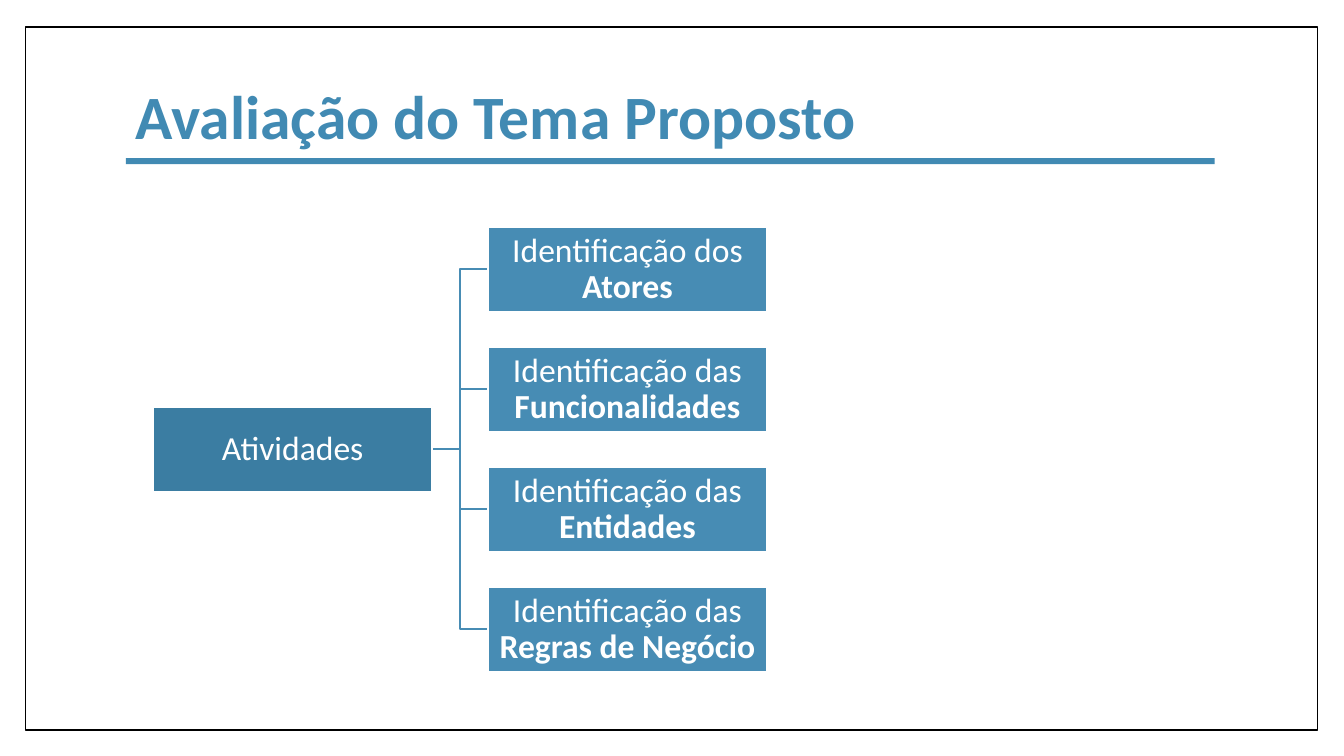
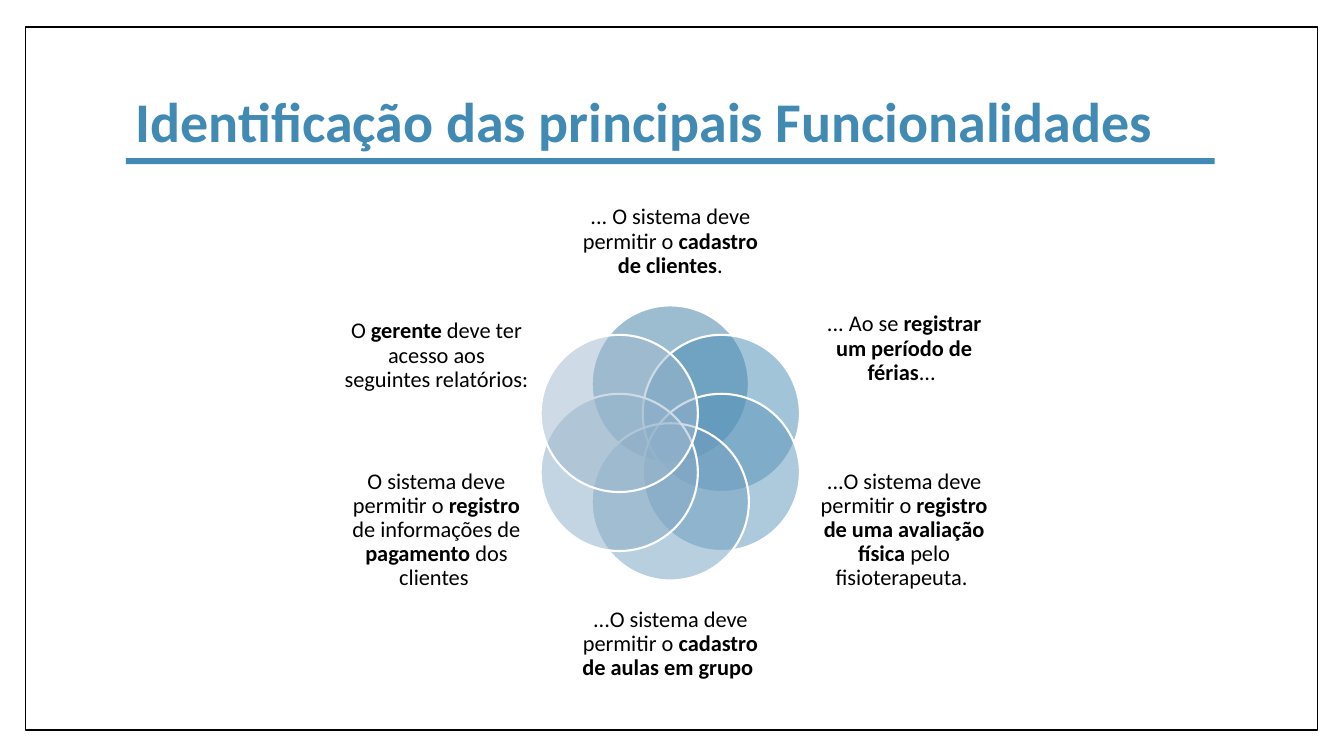
from math import cos, radians, sin
from lxml.etree import SubElement
from pptx import Presentation
from pptx.dml.color import RGBColor
from pptx.enum.shapes import MSO_CONNECTOR, MSO_SHAPE
from pptx.enum.text import MSO_ANCHOR, PP_ALIGN
from pptx.oxml.ns import qn
from pptx.util import Pt

WHITE = RGBColor(0xFF, 0xFF, 0xFF)
BLACK = RGBColor(0x00, 0x00, 0x00)
BLUE = RGBColor(0x41, 0x8A, 0xB3)
NAVY = RGBColor(0x3B, 0x7D, 0xA2)
STEEL = RGBColor(0x47, 0x8C, 0xB4)

ROOT = "Atividades"
TASKS = [
    "Identificação dos *Atores*",
    "Identificação das *Funcionalidades*",
    "Identificação das *Entidades*",
    "Identificação das *Regras de Negócio*",
]
PETALS = [
    ("... O sistema deve permitir o *cadastro de clientes*.",
     NAVY, (409, 134.6, 139.7, 76.3)),
    ("... Ao se *registrar um período de férias*... ",
     RGBColor(0x46, 0x8A, 0xB4), (579.6, 207.4, 132.5, 83.5)),
    ("...O sistema deve permitir o *registro de uma avaliação física *pelo fisioterapeuta. ",
     RGBColor(0x5C, 0x95, 0xBB), (579.6, 331.9, 132.5, 93.6)),
    ("...O sistema deve permitir o *cadastro de aulas em grupo *",
     RGBColor(0x73, 0xA0, 0xC0), (409, 421.9, 139.7, 76.3)),
    ("O sistema deve permitir o *registro* de informações de *pagamento* dos clientes ",
     RGBColor(0x89, 0xAC, 0xC7), (245.5, 331.9, 132.5, 93.6)),
    ("O *gerente* deve ter acesso aos seguintes relatórios: ",
     RGBColor(0x9E, 0xB8, 0xCE), (245.5, 207.4, 132.5, 93.6)),
]


def write(shape, text, size=24, color=WHITE, align=PP_ALIGN.CENTER, space=0.9, inset=(0, 0)):
    """Fill a shape with text, setting the parts between asterisks in bold."""
    frame = shape.text_frame
    frame.word_wrap = True
    frame.vertical_anchor = MSO_ANCHOR.MIDDLE
    frame.margin_left = frame.margin_right = Pt(inset[0])
    frame.margin_top = frame.margin_bottom = Pt(inset[1])
    para = frame.paragraphs[0]
    para.alignment, para.line_spacing = align, space
    for i, part in enumerate(text.split("*")):
        if part:
            run = para.add_run()
            run.text = part
            font = run.font
            font.name, font.size, font.bold = "Calibri", Pt(size), i % 2 == 1
            font.color.rgb = color


def draw(slide, box, fill, kind=MSO_SHAPE.RECTANGLE, line=None, width=1.5):
    """Add a flat shape, outlined if a line colour is given."""
    shape = slide.shapes.add_shape(kind, *map(Pt, box))
    shape.shadow.inherit = False
    shape.fill.solid()
    shape.fill.fore_color.rgb = fill
    if line is None:
        shape.line.fill.background()
    else:
        shape.line.color.rgb = line
        shape.line.width = Pt(width)
    return shape


def start(deck, title, size, space):
    """Add a slide with frame, title and rule, and return it with its frame."""
    slide = deck.slides.add_slide(deck.slide_layouts[6])
    frame = draw(slide, (18, 19.4, 923, 502), WHITE, line=BLACK, width=1)
    head = draw(slide, (90, 48.2, 777.6, 74.9), WHITE)
    write(head, f"*{title}*", size=size, color=BLUE, align=PP_ALIGN.LEFT,
          space=space, inset=(7.2, 3.6))
    draw(slide, (90, 113, 777.6, 4.3), BLUE)
    return slide, frame


def link(slide, frame, root, leaf):
    """Join two boxes with an elbow line that lies just above the frame."""
    line = slide.shapes.add_connector(MSO_CONNECTOR.ELBOW, 0, 0, 0, 0)
    line.begin_connect(root, 3)
    line.end_connect(leaf, 1)
    line.line.color.rgb = STEEL
    line.line.width = Pt(1.5)
    SubElement(line.element.spPr, qn("a:effectLst"))
    frame.element.addnext(line.element)


def tree(deck):
    """Build the slide with the tree of tasks."""
    slide, frame = start(deck, "Avaliação do Tema Proposto", 44, 0.9)
    wide, high, step, top = 199.4, 60.8, 85.7, 162
    mid = top + step * (len(TASKS) - 1) / 2
    root = draw(slide, (109.4, mid, wide, high), NAVY, line=WHITE)
    write(root, ROOT, inset=(1.2, 1.2))
    for i, task in enumerate(TASKS):
        leaf = draw(slide, (348.5, top + i * step, wide, high), STEEL, line=WHITE)
        write(leaf, task, inset=(1.2, 1.2))
        link(slide, frame, root, leaf)


def flower(deck):
    """Build the slide with the ring of see-through circles."""
    slide, _ = start(deck, "Identificação das principais Funcionalidades", 40, 1.0)
    mid_x, mid_y, reach, size = 478.8, 316.4, 42.1, 112.3
    for i, (text, color, box) in enumerate(PETALS):
        turn = radians(i * 360 / len(PETALS))
        left = mid_x + reach * sin(turn) - size / 2
        top = mid_y - reach * cos(turn) - size / 2
        petal = draw(slide, (left, top, size, size), color, kind=MSO_SHAPE.OVAL, line=WHITE)
        tint = petal.element.spPr.find(qn("a:solidFill"))[0]
        SubElement(tint, qn("a:alpha"), val="50000")
        label = slide.shapes.add_textbox(*map(Pt, box))
        write(label, text, size=16, color=BLACK)


def main():
    """Build and save the deck."""
    deck = Presentation()
    deck.slide_width, deck.slide_height = Pt(960), Pt(540)
    tree(deck)
    flower(deck)
    deck.save("out.pptx")


if __name__ == "__main__":
    main()
